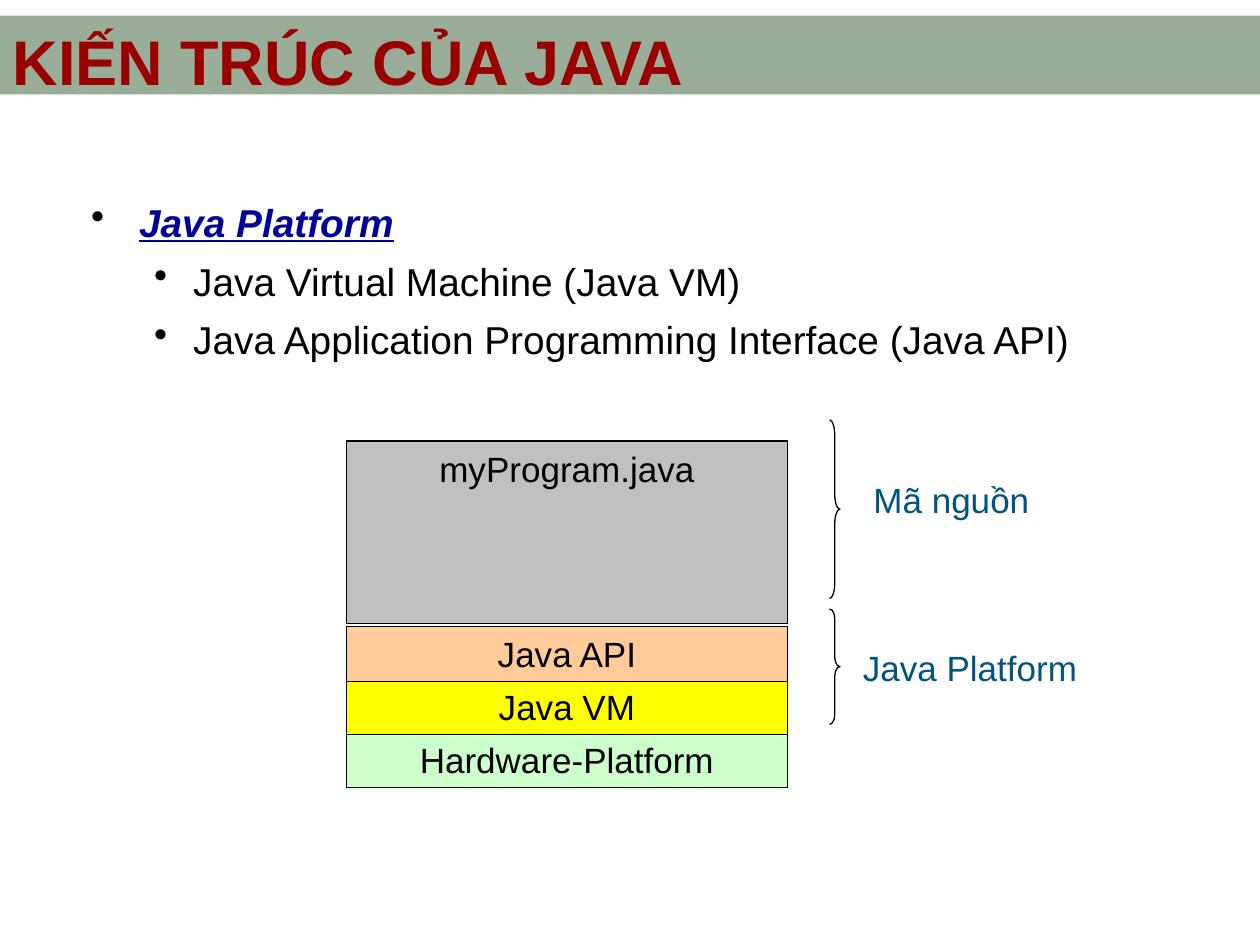
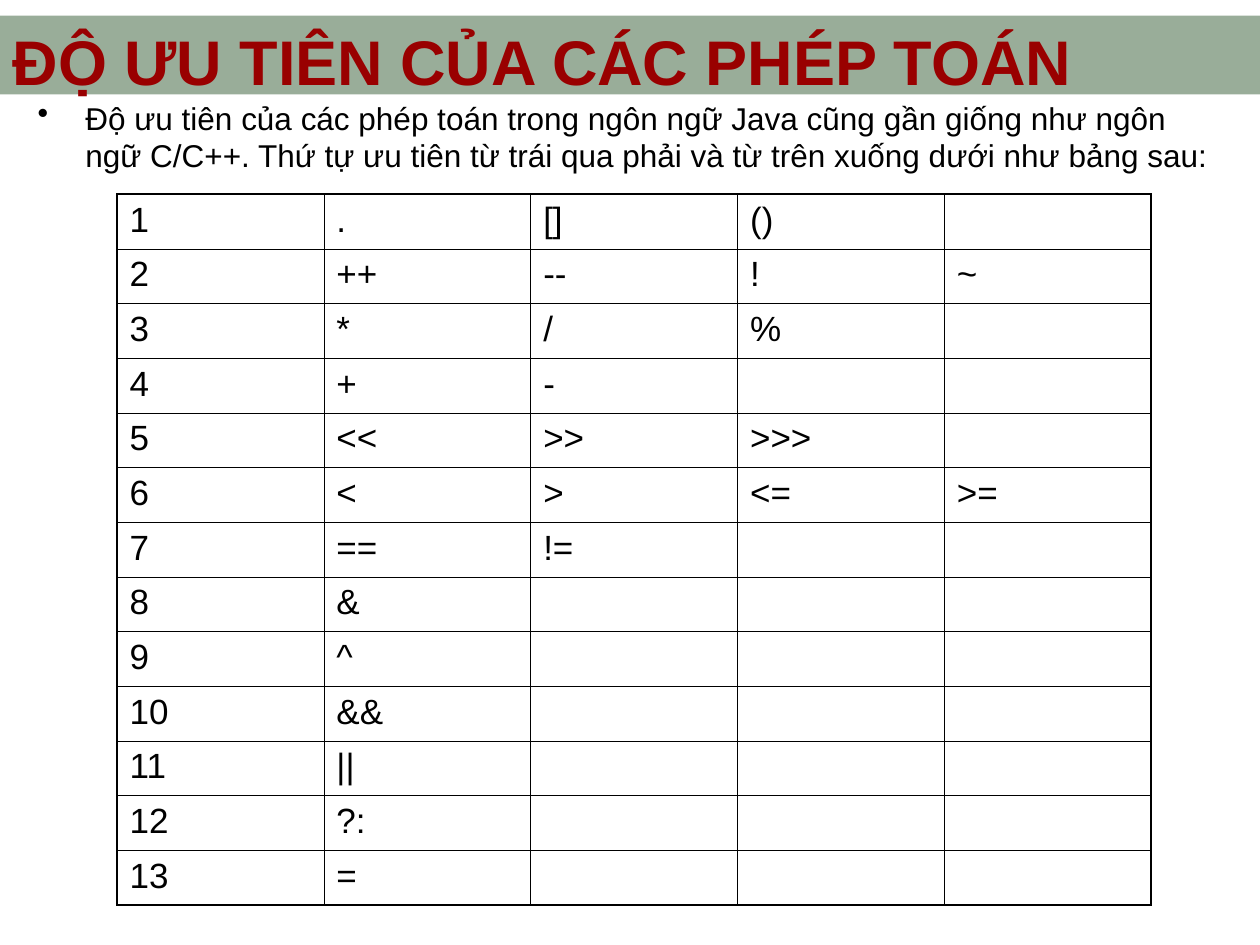
from pptx import Presentation
from pptx.dml.color import RGBColor as RGB
from pptx.enum.shapes import MSO_SHAPE as Kind
from pptx.enum.text import MSO_ANCHOR as Anchor, MSO_AUTO_SIZE as Fit, PP_ALIGN as Align
from pptx.oxml.ns import qn
from pptx.util import Inches, Pt
from lxml.etree import SubElement as Sub

FONT = "Arial"
BLACK = RGB(0x00, 0x00, 0x00)
GREEN = RGB(0x00, 0x33, 0x00)
RED = RGB(0x99, 0x00, 0x00)
NAVY = RGB(0x00, 0x00, 0x99)
TEAL = RGB(0x00, 0x54, 0x80)
GREY = RGB(0xC0, 0xC0, 0xC0)
PEACH = RGB(0xFF, 0xCC, 0x99)
YELLOW = RGB(0xFF, 0xFF, 0x00)
MINT = RGB(0xCC, 0xFF, 0xCC)

WIDTH, HEIGHT = Inches(10), Inches(7.5)
COLS, ROWS = 120, 90
THIN, THICK = Pt(0.45), Pt(1.08)

LAYERS = [("Hardware-Platform", MINT), ("Java VM", YELLOW), ("Java API", PEACH)]
TERMS = [
    ("Java Platform", 0.38, -0.38),
    ("Java Virtual Machine (Java VM)", 0.81, -0.31),
    ("Java Application Programming Interface (Java API)", 0.81, -0.31),
]
RULE = ("Độ ưu tiên của các phép toán trong ngôn ngữ Java cũng gần giống như ngôn ngữ "
        "C/C++. Thứ tự ưu tiên từ trái qua phải và từ trên xuống dưới như bảng sau:")
RANKS = [". [] ()", "++ -- ! ~", "* / %", "+ -", "<< >> >>>", "< > <= >=", "== !=",
         "&", "^", "&&", "||", "?:", "="]


def grid(col, row, cols, rows):
    return (round(WIDTH * col / COLS), round(HEIGHT * row / ROWS),
            round(WIDTH * cols / COLS), round(HEIGHT * rows / ROWS))


def style(para, size, color=BLACK, bold=False):
    for run in para.runs:
        font = run.font
        font.name, font.size, font.bold = FONT, Pt(size), bold
        font.color.rgb = color


def shape(slide, kind, area):
    item = slide.shapes.add_shape(kind, *grid(*area))
    item.shadow.inherit = False
    return item


def outline(item):
    item.line.color.rgb = BLACK
    item.line.width = Pt(0.75)


def add_slide(deck, text):
    slide = deck.slides.add_slide(deck.slide_layouts[5])
    title = slide.shapes.title
    title.left, title.top, title.width, title.height = grid(0, 3.2, 120, 5)
    frame = title.text_frame
    frame.text = text
    frame.auto_size, frame.word_wrap = Fit.NONE, True
    frame.vertical_anchor = Anchor.MIDDLE
    para = frame.paragraphs[0]
    para.alignment = Align.LEFT
    style(para, 36, RED, True)

    band = shape(slide, Kind.RECTANGLE, (0, 1.5, 120, 7.5))
    band.fill.solid()
    band.fill.fore_color.rgb = GREEN
    tint = next(band.element.iter(qn("a:srgbClr")))
    Sub(tint, qn("a:alpha"), val="40000")
    band.line.fill.background()
    title.element.addprevious(band.element)
    return slide


def add_text(slide, area):
    frame = slide.shapes.add_textbox(*grid(*area)).text_frame
    frame.word_wrap = True
    return frame


def bullet(para, left, hang):
    props = para._p.get_or_add_pPr()
    props.set("marL", str(Inches(left)))
    props.set("indent", str(Inches(hang)))
    tint = Sub(props, qn("a:buClr"))
    Sub(tint, qn("a:srgbClr"), val=str(BLACK))
    Sub(props, qn("a:buChar"), char="•")


def add_layer(slide, text, color, row, rows):
    box = shape(slide, Kind.RECTANGLE, (33, row, 42, rows))
    box.fill.solid()
    box.fill.fore_color.rgb = color
    outline(box)
    frame = box.text_frame
    frame.text = text
    frame.vertical_anchor = Anchor.TOP
    para = frame.paragraphs[0]
    para.alignment = Align.CENTER
    style(para, 20)


def add_brace(slide, row, rows):
    brace = shape(slide, Kind.RIGHT_BRACE, (79, row, 1, rows))
    brace.adjustments[0] = rows / 12
    brace.fill.background()
    outline(brace)


def add_label(slide, text, area):
    frame = add_text(slide, area)
    frame.text = text
    style(frame.paragraphs[0], 20, TEAL)


def border(cell, sides):
    props = cell._tc.get_or_add_tcPr()
    for side, width in sides.items():
        line = Sub(props, qn("a:ln" + side), w=str(width))
        fill = Sub(line, qn("a:solidFill"))
        Sub(fill, qn("a:srgbClr"), val=str(BLACK))


def add_table(slide, rows, cols, area):
    count = len(rows)
    table = slide.shapes.add_table(count, cols, *grid(*area)).table
    table.first_row = table.horz_banding = False
    for r, row in enumerate(rows):
        for c in range(cols):
            cell = table.cell(r, c)
            border(cell, {
                "L": THICK if c == 0 else THIN,
                "R": THICK if c == cols - 1 else THIN,
                "T": THICK if r == 0 else THIN,
                "B": THICK if r == count - 1 else THIN,
            })
            cell.fill.background()
            if c < len(row):
                cell.text_frame.text = row[c]
                style(cell.text_frame.paragraphs[0], 20)


def platform(deck):
    slide = add_slide(deck, "KIẾN TRÚC CỦA JAVA")
    frame = add_text(slide, (7.5, 18.3, 106.5, 17))
    frame.text = "\n".join(text for text, _, _ in TERMS)
    for i, (para, (_, left, hang)) in enumerate(zip(frame.paragraphs, TERMS)):
        bullet(para, left, hang)
        if i:
            para.space_before = Pt(7)
        style(para, 22.2)
    head = frame.paragraphs[0]
    style(head, 22.2, NAVY, True)
    head.runs[0].font.italic = head.runs[0].font.underline = True

    for i, (text, color) in enumerate(LAYERS):
        add_layer(slide, text, color, 69.75 - 5.05 * i, 5.25)
    add_layer(slide, "myProgram.java", GREY, 42, 17.4)
    add_brace(slide, 58, 11)
    add_label(slide, "Java Platform", (81, 61, 24, 5.25))
    add_brace(slide, 40, 17)
    add_label(slide, "Mã nguồn", (82, 45, 20, 5.25))


def ranking(deck):
    slide = add_slide(deck, "ĐỘ ƯU TIÊN CỦA CÁC PHÉP TOÁN")
    frame = add_text(slide, (2.4, 8.8, 115.2, 12))
    frame.text = RULE
    para = frame.paragraphs[0]
    bullet(para, 0.38, -0.38)
    style(para, 18)
    rows = [[str(i), *signs.split()] for i, signs in enumerate(RANKS, 1)]
    add_table(slide, rows, 5, (11.15, 18.5, 98.5, 67.6))


def main():
    deck = Presentation()
    deck.slide_width, deck.slide_height = WIDTH, HEIGHT
    platform(deck)
    ranking(deck)
    deck.save("out.pptx")


if __name__ == "__main__":
    main()
